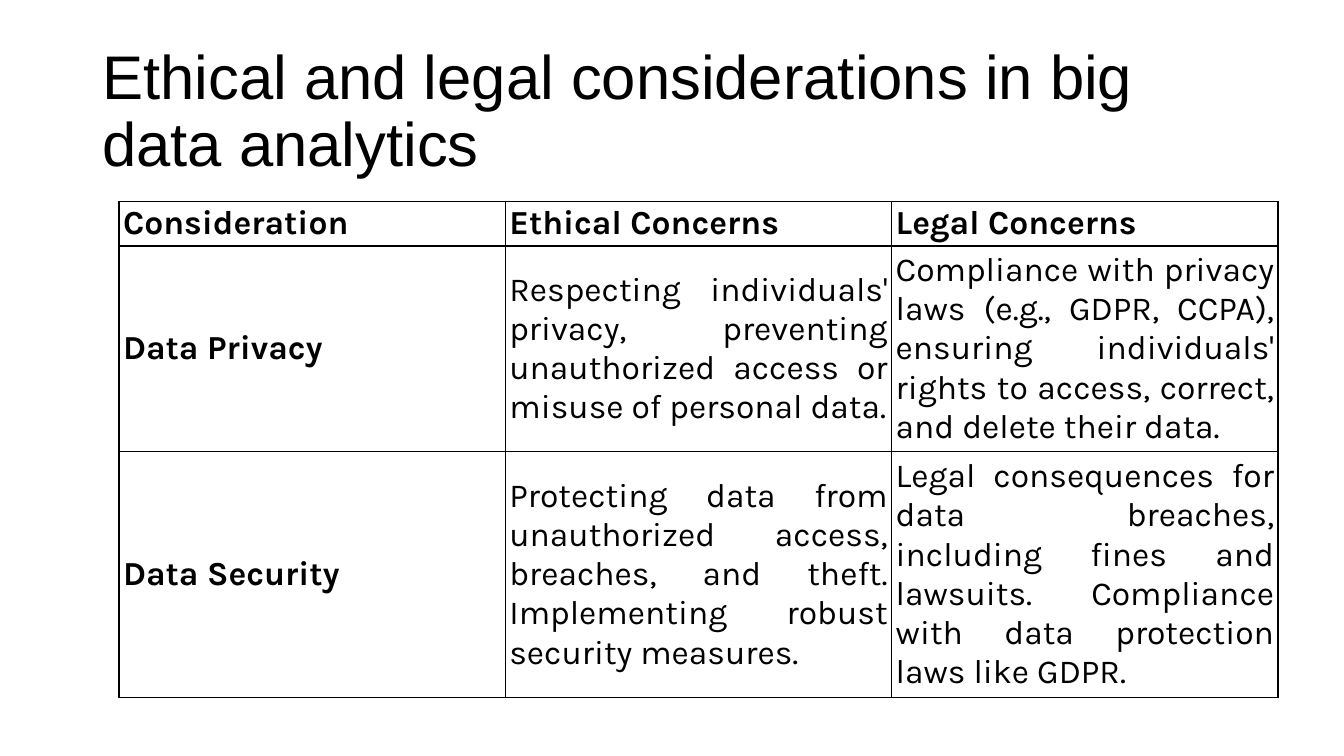
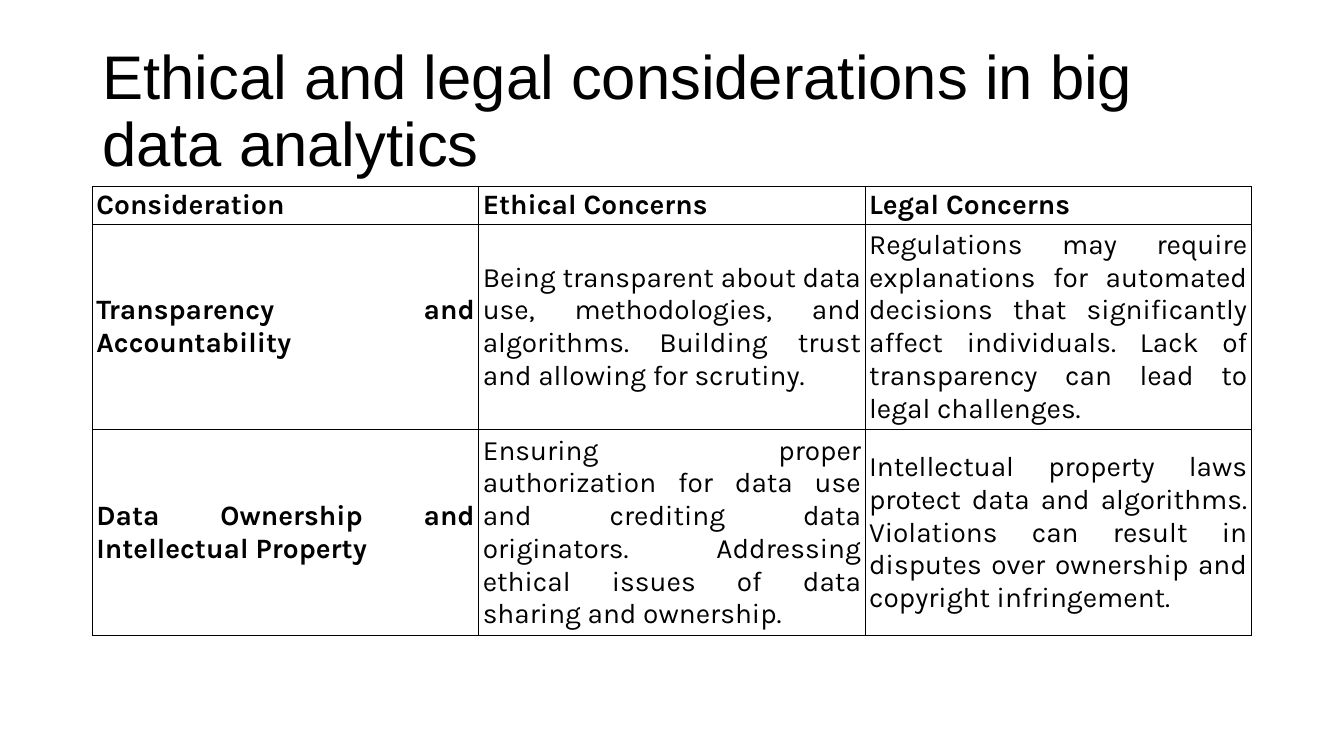
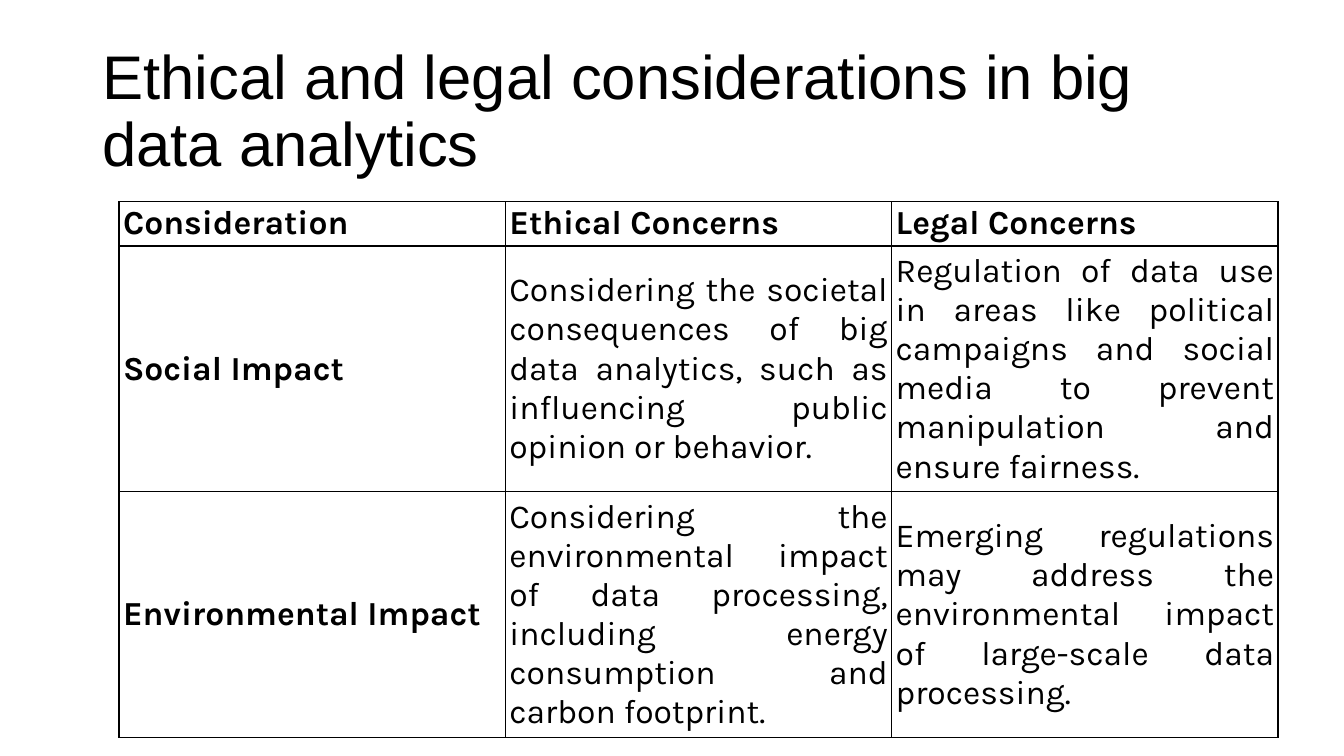
from lxml.etree import SubElement
from pptx import Presentation
from pptx.dml.color import RGBColor
from pptx.enum.text import MSO_ANCHOR, PP_ALIGN
from pptx.oxml.ns import qn
from pptx.util import Cm, Pt

INK = "000000"
TITLE = "Ethical and legal considerations in big data analytics"
HEADS = ("Consideration", "Ethical Concerns", "Legal Concerns")
LEFT, WIDTH = 2.33, 29.21
PAD = 0.05

# left, top, text size, then rows of (text lines, cells)
PAGES = [
    (3, 5.08, 24, [
        (5, ("Data Privacy",
             "Respecting individuals' privacy, preventing unauthorized access "
             "or misuse of personal data.",
             "Compliance with privacy laws (e.g., GDPR, CCPA), ensuring "
             "individuals' rights to access, correct, and delete their data.")),
        (6, ("Data Security",
             "Protecting data from unauthorized access, breaches, and theft. "
             "Implementing robust security measures.",
             "Legal consequences for data breaches, including fines and "
             "lawsuits. Compliance with data protection laws like GDPR.")),
    ]),
    (LEFT, 4.7, 20, [
        (6, ("Transparency and Accountability",
             "Being transparent about data use, methodologies, and algorithms. "
             "Building trust and allowing for scrutiny.",
             "Regulations may require explanations for automated decisions "
             "that significantly affect individuals. Lack of transparency can "
             "lead to legal challenges.")),
        (6, ("Data Ownership and Intellectual Property",
             "Ensuring proper authorization for data use and crediting data "
             "originators. Addressing ethical issues of data sharing and "
             "ownership.",
             "Intellectual property laws protect data and algorithms. "
             "Violations can result in disputes over ownership and copyright "
             "infringement.")),
    ]),
    (3, 5.08, 24, [
        (6, ("Social Impact",
             "Considering the societal consequences of big data analytics, "
             "such as influencing public opinion or behavior.",
             "Regulation of data use in areas like political campaigns and "
             "social media to prevent manipulation and ensure fairness.")),
        (6, ("Environmental Impact",
             "Considering the environmental impact of data processing, "
             "including energy consumption and carbon footprint.",
             "Emerging regulations may address the environmental impact of "
             "large-scale data processing.")),
    ]),
]


def style(par, font, size, bold=False):
    for run in par.runs:
        run.font.name = font
        run.font.size = Pt(size)
        run.font.bold = bold
        run.font.color.rgb = RGBColor.from_string(INK)


def frame(cell):
    """Clear the cell's fill and draw a thin line on its four sides."""
    props = cell._tc.get_or_add_tcPr()
    for side in ("lnL", "lnR", "lnT", "lnB"):
        line = SubElement(props, qn(f"a:{side}"), w=str(Pt(1)))
        fill = SubElement(line, qn("a:solidFill"))
        SubElement(fill, qn("a:srgbClr"), val=INK)
    cell.fill.background()


deck = Presentation()
deck.slide_width, deck.slide_height = Cm(33.87), Cm(19.05)

for left, top, size, body in PAGES:
    slide = deck.slides.add_slide(deck.slide_layouts[6])

    box = slide.shapes.add_textbox(Cm(LEFT), Cm(1.01), Cm(WIDTH), Cm(3.68))
    text = box.text_frame
    text.word_wrap = True
    text.vertical_anchor = MSO_ANCHOR.MIDDLE
    text.text = TITLE
    text.paragraphs[0].line_spacing = 0.9
    style(text.paragraphs[0], "Arial", 44)

    rows = [(1, HEADS), *body]
    highs = [lines * size * 0.041 + 2 * PAD for lines, _ in rows]
    table = slide.shapes.add_table(
        len(rows), len(HEADS), Cm(left), Cm(top), Cm(WIDTH), Cm(sum(highs))
    ).table
    table.first_row = table.horz_banding = False
    for col in table.columns:
        col.width = Cm(WIDTH / len(HEADS))

    for r, (_, cells) in enumerate(rows):
        table.rows[r].height = Cm(highs[r])
        for c, words in enumerate(cells):
            cell = table.cell(r, c)
            cell.margin_left = cell.margin_right = Cm(0.1)
            cell.margin_top = cell.margin_bottom = Cm(PAD)
            cell.vertical_anchor = MSO_ANCHOR.MIDDLE
            frame(cell)
            par = cell.text_frame.paragraphs[0]
            par.text = words
            par.alignment = PP_ALIGN.JUSTIFY
            style(par, "Karla", size, bold=r == 0 or c == 0)

deck.save("out.pptx")
